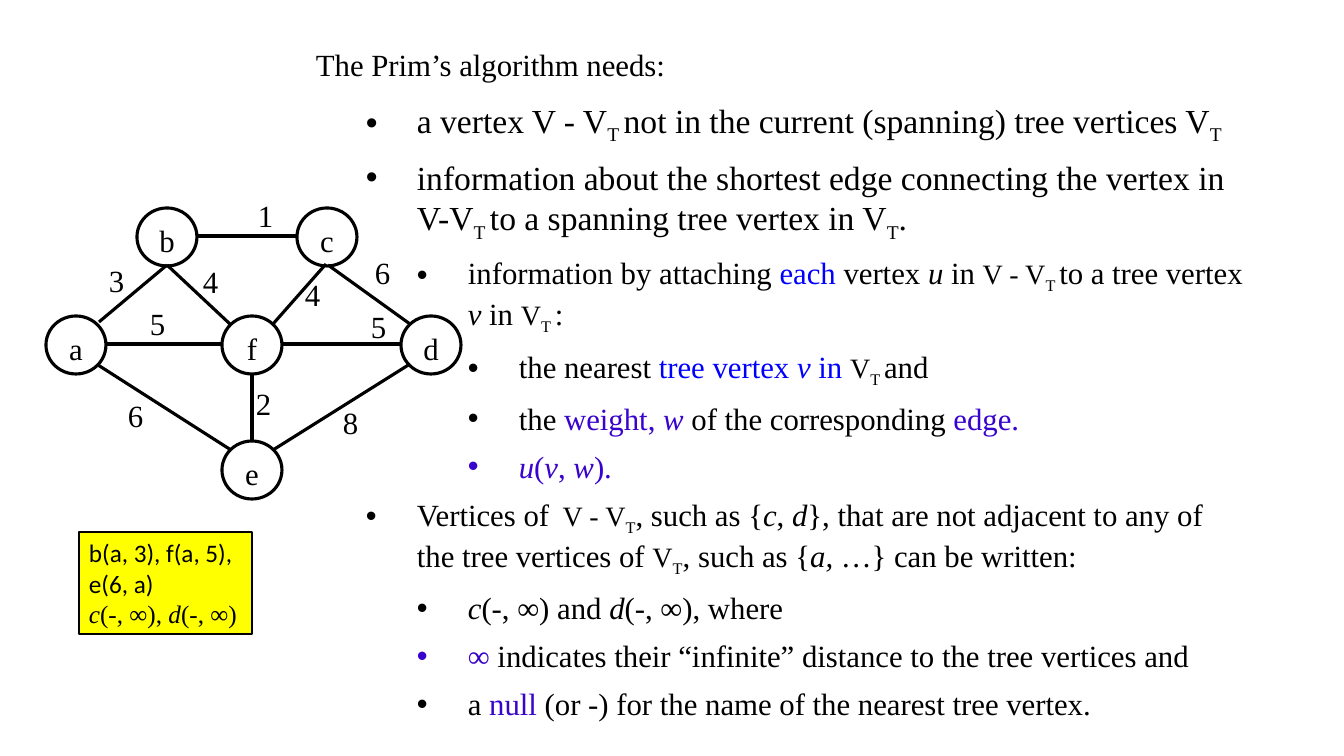
"""Build the slide on what Prim's algorithm needs, with its weighted graph."""
import pptx
import pptx.util
import pptx.dml.color
import pptx.enum.shapes
import pptx.enum.text
import pptx.oxml.ns
import lxml.etree

COLORS = {"ink": "000000", "paper": "FFFFFF", "blue": "0000FF",
          "violet": "3803CD", "note": "FFFF00"}
SERIF = "Times New Roman"
SCALE = 914400 / 100.8


def px(*lengths):
    return [pptx.util.Emu(round(length * SCALE)) for length in lengths]


def add_span(para, text, size=22, color="ink", italic=False, sub=False, font=SERIF):
    span = para.add_run()
    span.text = text
    span.font.name = font
    span.font.size = pptx.util.Pt(size)
    span.font.italic = italic
    span.font.color.rgb = pptx.dml.color.RGBColor.from_string(COLORS[color])
    if sub:
        span.font._element.set("baseline", "-25000")


deck = pptx.Presentation()
deck.slide_width, deck.slide_height = px(1344, 756)
page = deck.slides.add_slide(deck.slide_layouts[6])
ink = pptx.dml.color.RGBColor.from_string(COLORS["ink"])

italic = {"italic": True}
blue = {"color": "blue"}
violet = {"color": "violet"}
large = {"size": 24}
large_sub = {"size": 24, "sub": True}
small = {"size": 20}
small_sub = {"size": 20, "sub": True}
plain = {}

needs = [
    (0, 12, [("The Prim’s algorithm needs:", plain)]),
    (101, 8, [("a vertex V - V", large), ("T ", large_sub),
              ("not in the current (spanning) tree vertices V", large), ("T", large_sub)]),
    (101, 8, [("information about the shortest edge connecting the vertex in V-V", large),
              ("T ", large_sub), ("to a spanning tree vertex in V", large),
              ("T", large_sub), (".", large)]),
    (152, 8, [("information by attaching ", plain), ("each", blue), (" vertex ", plain),
              ("u", italic), (" in ", plain), ("V - V", small), ("T ", small_sub),
              ("to a tree vertex ", plain), ("v", italic), (" in ", plain),
              ("V", small), ("T ", small_sub), (":", plain)]),
    (203, 8, [("the nearest ", plain), ("tree vertex ", blue), ("v", {**blue, **italic}),
              (" in ", blue), ("V", small), ("T ", small_sub), ("and", plain)]),
    (203, 8, [("the ", plain), ("weight, ", violet), ("w", {**violet, **italic}),
              (" of the corresponding ", plain), ("edge.", violet)]),
    (203, 8, [("u", {**violet, **italic}), ("(", violet), ("v", {**violet, **italic}),
              (", ", violet), ("w", {**violet, **italic}), (").", violet)]),
    (101, 8, [("Vertices of", plain), ("  V - V", small), ("T", small_sub),
              (", such as {", plain), ("c", italic), (", ", plain), ("d", italic),
              ("}, that are not adjacent to any of the tree vertices of ", plain),
              ("V", small), ("T", small_sub), (", such as {", plain), ("a, ", italic),
              ("…} can be written:", plain)]),
    (152, 8, [("c", italic), ("(-, ∞) and ", plain), ("d", italic), ("(-, ∞), where", plain)]),
    (152, 8, [("∞ ", violet),
              ("indicates their “infinite” distance to the tree vertices and", plain)]),
    (152, 8, [("a ", plain), ("null", violet),
              (" (or -) for the name of the nearest tree vertex.", plain)]),
]
needs_box = page.shapes.add_textbox(*px(306, 41, 951, 661))
needs_box.text_frame.word_wrap = True
for index, (margin, gap, spans) in enumerate(needs):
    frame = needs_box.text_frame
    para = frame.add_paragraph() if index else frame.paragraphs[0]
    para.space_after = pptx.util.Pt(gap)
    if margin:
        properties = para._p.get_or_add_pPr()
        properties.set("marL", str(px(margin)[0]))
        properties.set("indent", str(px(-51)[0]))
        for tag, key, value in (("a:buFont", "typeface", "Arial"), ("a:buChar", "char", "•")):
            bullet = lxml.etree.SubElement(properties, pptx.oxml.ns.qn(tag))
            bullet.set(key, value)
    for text, style in spans:
        add_span(para, text, **style)

vertices = {"b": (137, 208), "c": (297, 208), "f": (222, 316),
            "a": (46, 316), "d": (401, 316), "e": (222, 441)}
for name, (left, top) in vertices.items():
    vertex = page.shapes.add_shape(pptx.enum.shapes.MSO_SHAPE.OVAL, *px(left, top, 60, 58))
    vertex.shadow.inherit = False
    vertex.fill.solid()
    vertex.fill.fore_color.rgb = pptx.dml.color.RGBColor.from_string(COLORS["paper"])
    vertex.line.color.rgb = ink
    vertex.line.width = pptx.util.Pt(2.25)
    vertex.text_frame.vertical_anchor = pptx.enum.text.MSO_ANCHOR.TOP
    para = vertex.text_frame.paragraphs[0]
    para.alignment = pptx.enum.text.PP_ALIGN.CENTER
    add_span(para, name)

edges = [
    ("1", (197, 236, 297, 236), (248, 192)),
    ("5", (106, 344, 222, 344), (140, 300)),
    ("5", (282, 344, 401, 344), (361, 303)),
    ("3", (99, 322, 167, 265), (99, 257)),
    ("4", (273, 324, 326, 264), (295, 271)),
    ("8", (273, 450, 410, 364), (333, 399)),
    ("6", (98, 365, 231, 450), (118, 392)),
    ("2", (252, 441, 252, 373), (246, 380)),
    ("4", (230, 324, 167, 265), (193, 258)),
    ("6", (410, 324, 328, 265), (365, 249)),
]
for weight, ends, corner in edges:
    edge = page.shapes.add_connector(pptx.enum.shapes.MSO_CONNECTOR.STRAIGHT, *px(*ends))
    edge.line.color.rgb = ink
    edge.line.width = pptx.util.Pt(2.25)
    lxml.etree.SubElement(edge._element.spPr, pptx.oxml.ns.qn("a:effectLst"))
    weight_box = page.shapes.add_textbox(*px(*corner, 36, 47))
    add_span(weight_box.text_frame.paragraphs[0], weight)

note = page.shapes.add_shape(pptx.enum.shapes.MSO_SHAPE.RECTANGLE, *px(79, 532, 173, 102))
note.shadow.inherit = False
note.fill.solid()
note.fill.fore_color.rgb = pptx.dml.color.RGBColor.from_string(COLORS["note"])
note.line.color.rgb = ink
note.line.width = pptx.util.Pt(1)
note.text_frame.word_wrap = True
note_lines = [
    [("b(a, 3), f(a, 5), e(6, a)", {"font": "Calibri"})],
    [("c", italic), ("(-, ∞), ", plain), ("d", italic), ("(-, ∞)", plain)],
]
for index, spans in enumerate(note_lines):
    para = note.text_frame.add_paragraph() if index else note.text_frame.paragraphs[0]
    para.alignment = pptx.enum.text.PP_ALIGN.LEFT
    for text, style in spans:
        add_span(para, text, size=18, **style)

deck.save("out.pptx")
